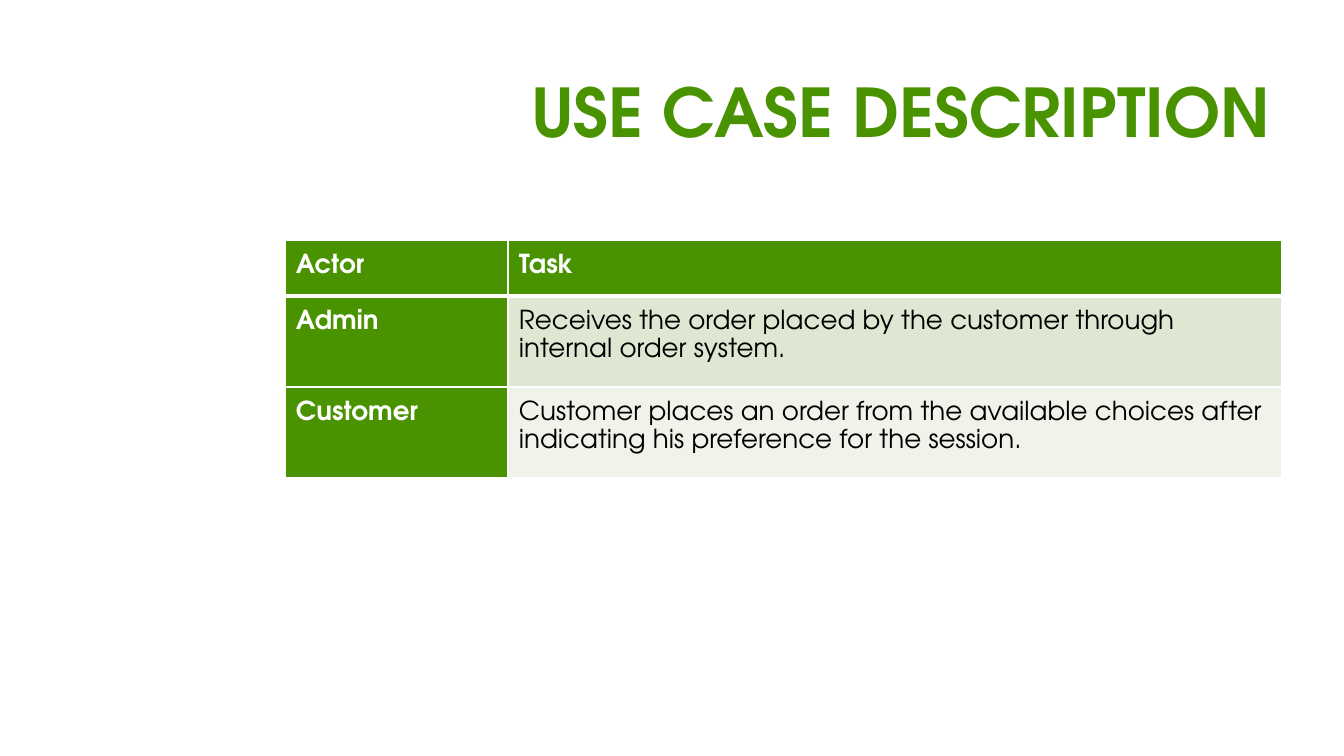
from dataclasses import dataclass

from lxml.etree import SubElement
from pptx import Presentation
from pptx.dml.color import RGBColor
from pptx.enum.text import MSO_ANCHOR, PP_ALIGN
from pptx.oxml.ns import qn
from pptx.util import Emu, Pt

TITLE = "USE CASE DESCRIPTION"
ROWS = [
    ("Actor", "Task"),
    ("Admin", "Receives the order placed by the customer through internal order system."),
    ("Customer", "Customer places an order from the available choices after "
                 "indicating his preference for the session."),
]

SLIDE_SIZE = (1344, 756)
TITLE_BOX = (320, 58, 964, 106)
TABLE_ORIGIN = (285, 240)
COL_WIDTHS = (223, 774)
ROW_HEIGHTS = (56, 91, 91)
CELL_INSET = 11


@dataclass(frozen=True)
class Theme:
    font: str = "TeX Gyre Adventor"
    green: str = "499200"
    bands: tuple = ("DEE7D1", "EFF3EA")
    white: str = "FFFFFF"
    black: str = "000000"
    title_size: int = 36
    cell_size: int = 14
    line_spacing: float = 1.15
    border: int = 1
    header_rule: int = 3


THEME = Theme()


def px(n):
    return Emu(round(n * 914400 / 134.4))


def add_run(p, text, size, color, bold):
    r = p.add_run()
    r.text = text
    r.font.name = THEME.font
    r.font.size = Pt(size)
    r.font.bold = bold
    r.font.color.rgb = RGBColor.from_string(color)


def set_borders(cell, widths):
    """Draw white borders; widths are points for left, right, top and bottom."""
    tcPr = cell._tc.get_or_add_tcPr()
    for i, (side, width) in enumerate(zip("LRTB", widths)):
        ln = SubElement(tcPr, qn(f"a:ln{side}"), w=str(Pt(width)))
        fill = SubElement(ln, qn("a:solidFill"))
        SubElement(fill, qn("a:srgbClr"), val=THEME.white)
        tcPr.remove(ln)
        tcPr.insert(i, ln)  # borders precede the cell fill


def add_title(s):
    title = s.shapes.title
    title.left, title.top, title.width, title.height = map(px, TITLE_BOX)
    tf = title.text_frame
    tf.word_wrap = True
    tf.vertical_anchor = MSO_ANCHOR.MIDDLE
    p = tf.paragraphs[0]
    p.alignment = PP_ALIGN.RIGHT
    add_run(p, TITLE, THEME.title_size, THEME.green, True)


def fill_cell(cell, row, col, text):
    strong = row == 0 or col == 0
    cell.margin_left = cell.margin_right = px(CELL_INSET)
    cell.margin_top = cell.margin_bottom = px(CELL_INSET)
    cell.fill.solid()
    color = THEME.green if strong else THEME.bands[(row - 1) % 2]
    cell.fill.fore_color.rgb = RGBColor.from_string(color)
    top = THEME.header_rule if row == 1 else THEME.border
    bottom = THEME.header_rule if row == 0 else THEME.border
    set_borders(cell, (THEME.border, THEME.border, top, bottom))
    p = cell.text_frame.paragraphs[0]
    p.line_spacing = THEME.line_spacing
    add_run(p, text, THEME.cell_size, THEME.white if strong else THEME.black, strong)


def add_actor_table(s):
    size = (sum(COL_WIDTHS), sum(ROW_HEIGHTS))
    table = s.shapes.add_table(len(ROWS), len(COL_WIDTHS),
                               *map(px, TABLE_ORIGIN + size)).table
    table.first_col = True
    for column, width in zip(table.columns, COL_WIDTHS):
        column.width = px(width)
    for row, height in zip(table.rows, ROW_HEIGHTS):
        row.height = px(height)
    for i, texts in enumerate(ROWS):
        for j, text in enumerate(texts):
            fill_cell(table.cell(i, j), i, j, text)


def main():
    prs = Presentation()
    prs.slide_width, prs.slide_height = map(px, SLIDE_SIZE)
    s = prs.slides.add_slide(prs.slide_layouts.get_by_name("Title Only"))
    add_title(s)
    add_actor_table(s)
    prs.save("out.pptx")


if __name__ == "__main__":
    main()
